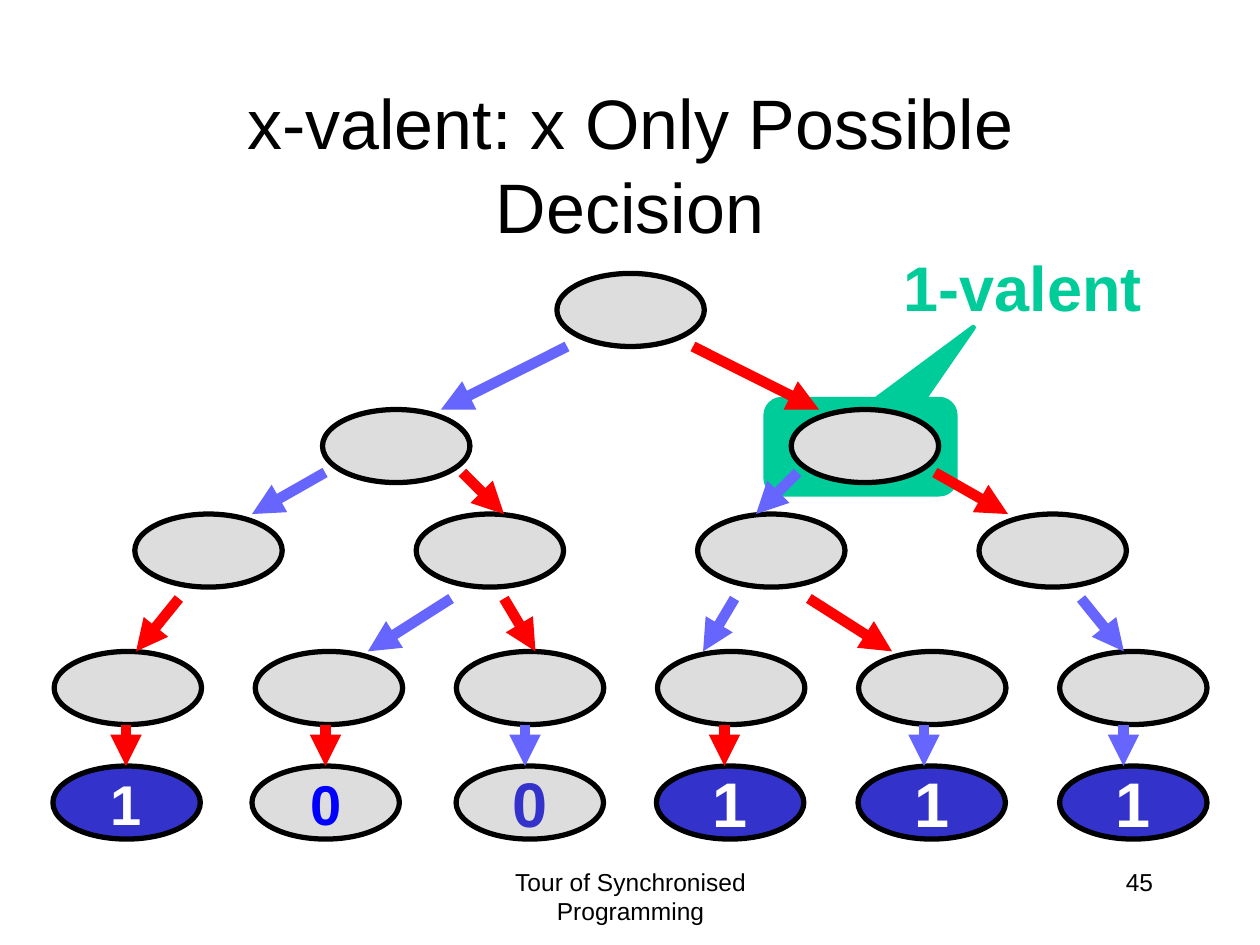
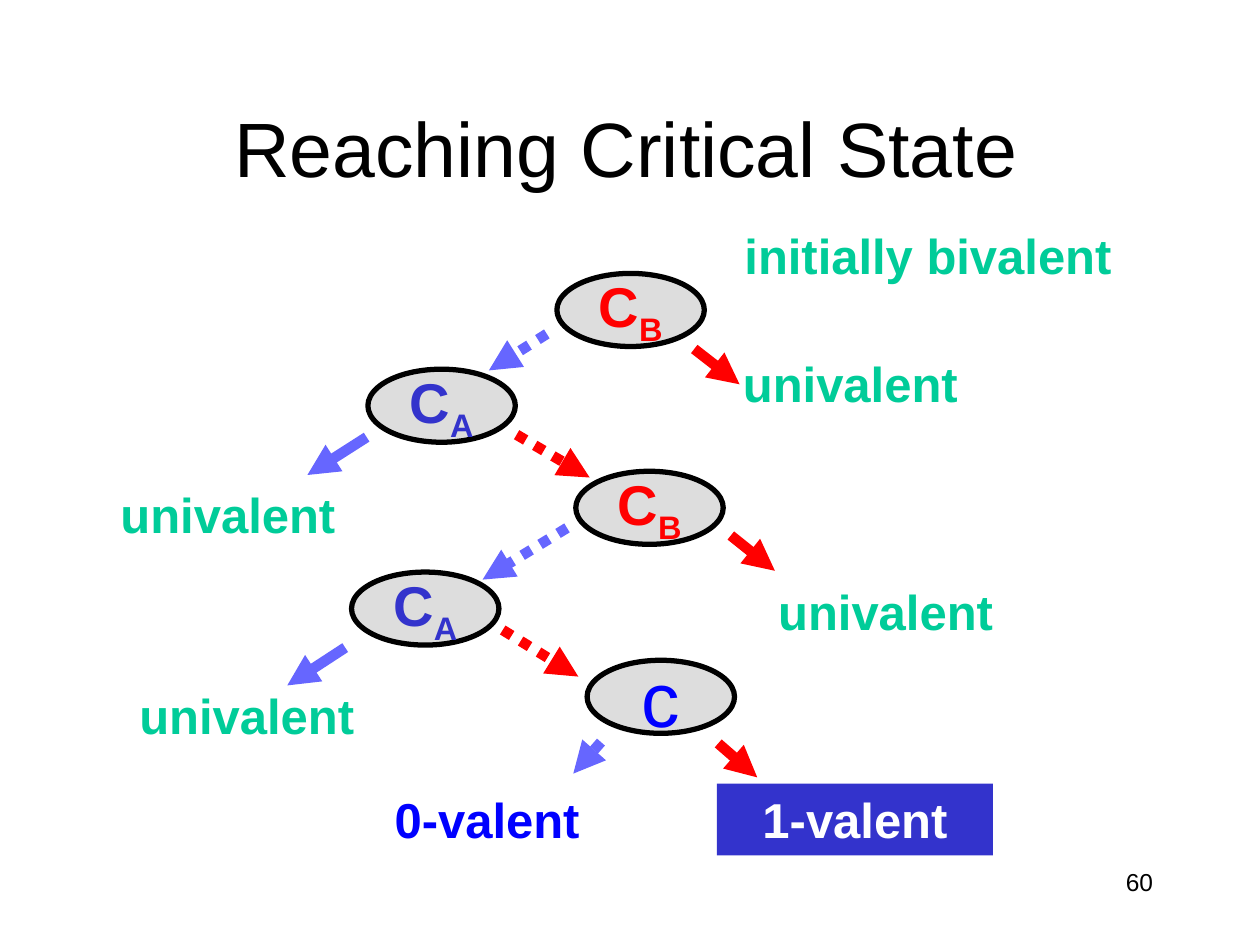
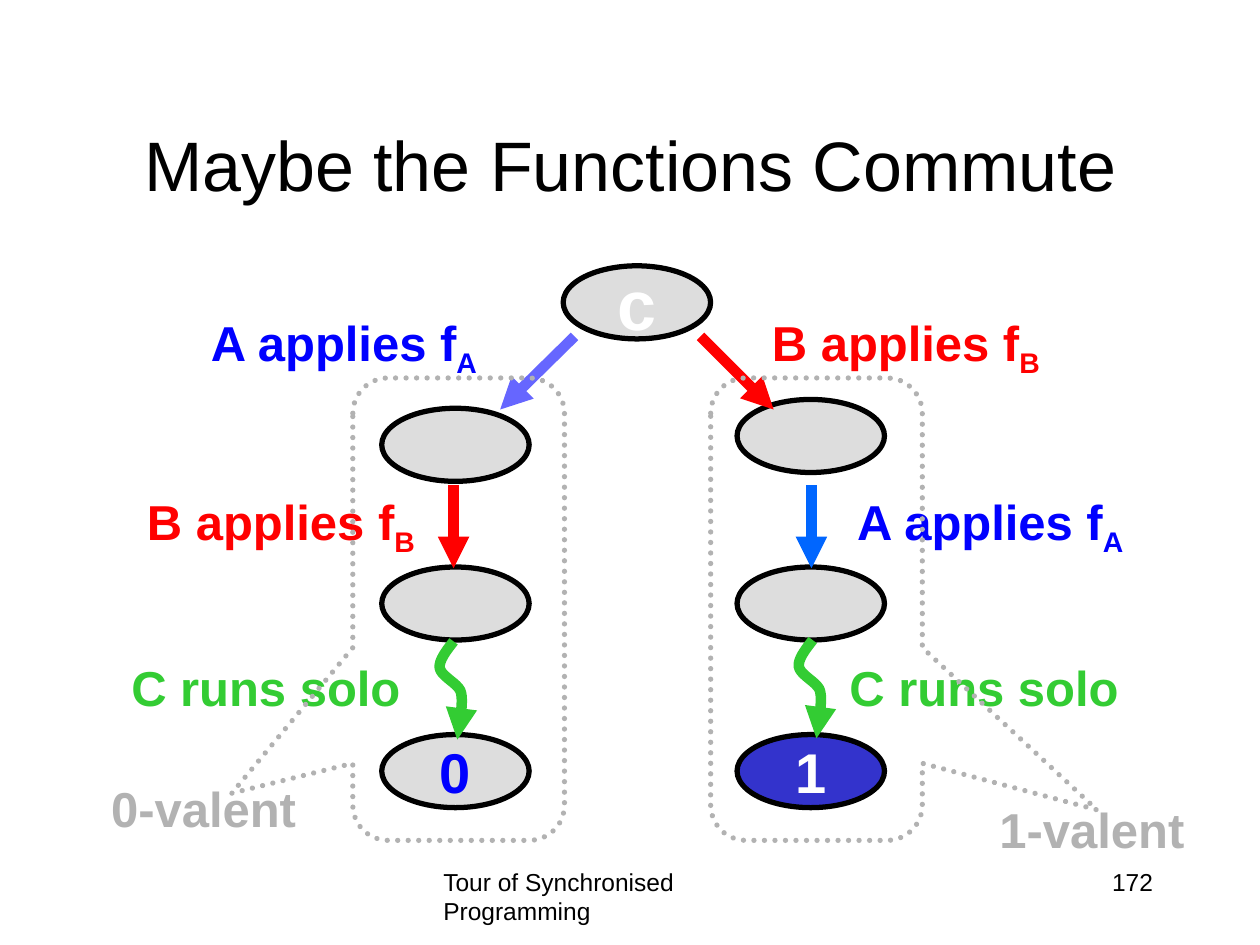
from collections import namedtuple

from lxml.etree import SubElement
from pptx import Presentation
from pptx.dml.color import RGBColor
from pptx.enum.dml import MSO_LINE
from pptx.enum.shapes import MSO_CONNECTOR, MSO_SHAPE as SHAPE
from pptx.enum.text import MSO_ANCHOR as ANCHOR, MSO_AUTO_SIZE, PP_ALIGN as ALIGN
from pptx.oxml.ns import qn
from pptx.util import Pt

PX = 9144  # 100 px to the inch
FONT = "Arial"
FOOTER = "Tour of Synchronised Programming"
BLACK, WHITE, GREY, SILVER = "000000", "FFFFFF", "B2B2B2", "DDDDDD"
RED, BLUE, NAVY, PERIWINKLE, AZURE = "FF0000", "0000FF", "3333CC", "6666FF", "0066FF"
TEAL, GREEN = "00CC99", "33CC33"
NODE_WIDTH, NODE_HEIGHT = 117, 58
LABEL_HEIGHT = 57


class Box(namedtuple("Box", "left top width height")):
    def at(self, x, y, width=0, height=0):
        """A box whose corner is x, y from the corner of this one."""
        return Box(self.left + x, self.top + y, width, height)

    def emu(self):
        return [emu(value) for value in self]


def emu(px):
    return round(px * PX)


def color(hex_string):
    return RGBColor.from_string(hex_string)


def set_format(target, **values):
    for name, value in values.items():
        setattr(target, name, value)


# Shared drawing helpers

def write(shape, text, size, ink, bold=True, align=ALIGN.CENTER,
          anchor=ANCHOR.TOP, wrap=True):
    """Write text; what follows an underscore becomes a subscript."""
    frame = shape.text_frame
    set_format(frame, auto_size=MSO_AUTO_SIZE.NONE, word_wrap=wrap,
               vertical_anchor=anchor)
    paragraph = frame.paragraphs[0]
    paragraph.alignment = align
    base, _, subscript = text.partition("_")
    for part in filter(None, (base, subscript)):
        run = paragraph.add_run()
        run.text = part
        set_format(run.font, name=FONT, size=Pt(size), bold=bold)
        run.font.color.rgb = color(ink)
    if subscript:
        run._r.get_or_add_rPr().set("baseline", "-25000")


def set_line(line, ink, width, dotted=False, arrow=False, cap=None):
    line.color.rgb = color(ink)
    line.width = Pt(width)
    if dotted:
        line.dash_style = MSO_LINE.ROUND_DOT
    outline = line._get_or_add_ln()
    if cap:
        outline.set("cap", cap)
    if arrow:
        SubElement(outline, qn("a:tailEnd"), type="triangle")


def add_shape(slide, kind, box, fill=None, line=None, adjustments=()):
    shape = slide.shapes.add_shape(kind, *box.emu())
    shape.shadow.inherit = False
    for index, value in enumerate(adjustments):
        shape.adjustments[index] = value
    if fill:
        shape.fill.solid()
        shape.fill.fore_color.rgb = color(fill)
    else:
        shape.fill.background()
    if line:
        set_line(shape.line, **line)
    else:
        shape.line.fill.background()
    return shape


def add_node(slide, spot, text="", size=32, ink=BLUE, fill=SILVER, bold=True):
    box = spot._replace(width=NODE_WIDTH, height=NODE_HEIGHT)
    node = add_shape(slide, SHAPE.OVAL, box, fill, dict(ink=BLACK, width=3))
    if text:
        write(node, text, size, ink, bold, anchor=ANCHOR.MIDDLE, wrap=False)


def add_arrow(slide, start, end, ink, dotted=False):
    arrow = slide.shapes.add_connector(
        MSO_CONNECTOR.STRAIGHT, *start.emu()[:2], *end.emu()[:2])
    set_line(arrow.line, ink, 6, dotted, arrow=True)
    SubElement(arrow._element.spPr, qn("a:effectLst"))


def add_label(slide, box, text, ink, size=28, **style):
    label = slide.shapes.add_textbox(*box.emu())
    write(label, text, size, ink, **style)


def add_squiggle(slide, spot):
    """A wavy arrow made of three Bezier curves."""
    knots = [(0, 0), (-2, 3), (-12, 14), (-11, 21), (-10, 28), (5, 34),
             (6, 41), (8, 49), (4, 70), (3, 78)]
    steps = 10
    points = []
    for first in range(0, len(knots) - 1, 3):
        for step in range(1, steps + 1):
            t = step / steps
            weights = ((1 - t) ** 3, 3 * t * (1 - t) ** 2, 3 * t * t * (1 - t), t ** 3)
            curve = knots[first:first + 4]
            x, y = (sum(w * knot[axis] for w, knot in zip(weights, curve))
                    for axis in (0, 1))
            points.append(spot.at(x, y).emu()[:2])
    builder = slide.shapes.build_freeform(*spot.emu()[:2])
    builder.add_line_segments(points, close=False)
    squiggle = builder.convert_to_shape()
    squiggle.shadow.inherit = False
    squiggle.fill.background()
    set_line(squiggle.line, GREEN, 6, arrow=True)


def new_slide(presentation, title, number, size=40, box=Box(75, 67, 850, 125),
              footer_align=None):
    slide = presentation.slides.add_slide(presentation.slide_layouts[5])
    names = ("left", "top", "width", "height")
    set_format(slide.shapes.title, **dict(zip(names, box.emu())))
    write(slide.shapes.title, title, size, BLACK, bold=False, anchor=ANCHOR.MIDDLE)
    add_label(slide, Box(717, 683, 208, 50), number, BLACK, 14,
              bold=False, align=ALIGN.RIGHT)
    if footer_align:
        add_label(slide, Box(342, 683, 317, 50), FOOTER, BLACK, 14,
                  bold=False, align=footer_align)
    return slide


# Slide 1: decision tree

def draw_tree(slide, box):
    add_shape(slide, SHAPE.ROUNDED_RECTANGULAR_CALLOUT, box.at(566, 100, 150, 75),
              TEAL, dict(ink=TEAL, width=3), (0.597, -1.262, 0.167))
    # Inner nodes: top, first left, gap, count
    for top, left, gap, count in [(0, 400, 0, 1), (108, 214, 372, 2),
                                  (191, 65, 223.33, 4), (300, 1, 159.6, 6)]:
        for index in range(count):
            add_node(slide, box.at(left + gap * index, top))
    # Decisions
    won = dict(text="1", ink=WHITE, fill=NAVY)
    leaves = [(0, won), (158, dict(text="0")), (320, dict(text="0", size=36, ink=NAVY))]
    leaves += [(left, dict(won, size=36)) for left in (479, 639, 799)]
    for left, style in leaves:
        add_node(slide, box.at(left, 391), **style)
    # Arrows on the left, by distance from the axis; the right swaps colours
    axis = box.width / 2
    for top, bottom, start, end, ink in [
            (58, 108, 50, 150, PERIWINKLE),
            (158, 191, 242, 300, PERIWINKLE), (158, 191, 133, 100, RED),
            (258, 300, 358, 392, RED), (258, 300, 142, 208, PERIWINKLE)]:
        swapped = PERIWINKLE if ink == RED else RED
        for side, side_ink in ((-1, ink), (1, swapped)):
            add_arrow(slide, box.at(axis + side * start, top),
                      box.at(axis + side * end, bottom), side_ink)
    # The inner pair of arrows, then one arrow down to each decision
    for start, end, ink in ((358, 383, RED), (541, 516, PERIWINKLE)):
        add_arrow(slide, box.at(start, 258), box.at(end, 300), ink)
    inks = (RED, RED, PERIWINKLE, RED, PERIWINKLE, PERIWINKLE)
    for index, ink in enumerate(inks):
        x = 58 + 158.33 * index
        add_arrow(slide, box.at(x, 358), box.at(x, 391), ink)
    add_label(slide, box.at(663, -25, 211, 71), "1-valent", TEAL, 36,
              align=ALIGN.RIGHT, wrap=False)


# Slide 2: path to the critical state

def draw_path(slide, box):
    for left, top, text, ink in [(359, 43, "C_B", RED), (209, 119, "C_A", NAVY),
                                 (374, 200, "C_B", RED), (196, 280, "C_A", NAVY)]:
        add_node(slide, box.at(left, top), text, ink=ink)
    add_node(slide, box.at(383, 350), "c", 44, bold=False)
    # Arrows to the right are B's moves, those to the left are A's
    taken = [(351, 91, 305, 120), (327, 171, 385, 205), (367, 245, 300, 286),
             (316, 326, 376, 363), (394, 415, 372, 440)]
    other = [(468, 103, 504, 131), (208, 173, 161, 203), (497, 251, 532, 279),
             (191, 340, 145, 370), (487, 416, 518, 443)]
    for arrows, dotted in ((taken, True), (other, False)):
        for x1, y1, x2, y2 in arrows:
            add_arrow(slide, box.at(x1, y1), box.at(x2, y2),
                      RED if x2 > x1 else PERIWINKLE, dotted)
    # Valence labels
    labels = [(491, 0, 318, "initially bivalent")]
    labels += [(left, top, 193, "univalent") for left, top in
               [(494, 102), (0, 206), (522, 283), (15, 365)]]
    for left, top, width, text in labels:
        add_label(slide, box.at(left, top, width, LABEL_HEIGHT), text, TEAL,
                  align=ALIGN.RIGHT, wrap=False)
    add_label(slide, box.at(186, 448, 235, LABEL_HEIGHT), "0-valent", BLUE)
    result = add_shape(slide, SHAPE.RECTANGLE, box.at(486, 448, 219, LABEL_HEIGHT), NAVY)
    write(result, "1-valent", 28, WHITE)


# Slide 3: one order of the calls, with the arrow that leads into it

def draw_branch(slide, box, node_left, first_top, leaf, incoming, arrow_ink, labels,
                valence, tip, shift=0):
    for top, style in ((first_top, {}), (150, {}), (283, leaf)):
        add_node(slide, box.at(node_left, top), **style)
    start, end, ink = incoming
    add_arrow(slide, box.at(start, -33), box.at(end, 25), ink)
    add_arrow(slide, box.at(80, 85), box.at(80, 151), arrow_ink)
    add_squiggle(slide, box.at(80 + shift, 209 - shift))
    for (left, text, ink), top in zip(labels, (-57, 85, 217)):
        add_label(slide, box.at(left, top, 296, LABEL_HEIGHT), text, ink)
    left, top, text = valence
    add_label(slide, box.at(left, top, 235, LABEL_HEIGHT), text, GREY)
    add_shape(slide, SHAPE.ROUNDED_RECTANGULAR_CALLOUT, box,
              line=dict(ink=GREY, width=3, dotted=True, cap="rnd"),
              adjustments=(*tip, 0.167))


def main():
    presentation = Presentation()
    set_format(presentation, slide_width=emu(1000), slide_height=emu(750))

    slide = new_slide(presentation, "x-valent: x Only Possible Decision", "45",
                      footer_align=ALIGN.CENTER)
    draw_tree(slide, Box(42, 217, 916, 449))

    slide = new_slide(presentation, "Reaching Critical State", "60", 44,
                      Box(72, 54, 850, 125))
    draw_path(slide, Box(83, 174, 809, 505))

    slide = new_slide(presentation, "Maybe the Functions Commute", "172",
                      footer_align=ALIGN.LEFT)
    add_node(slide, Box(447, 211, NODE_WIDTH, NODE_HEIGHT), "c", 40, WHITE)
    a_call, b_call = ("A applies f_A", BLUE), ("B applies f_B", RED)
    solo = ("C runs solo", GREEN)
    draw_branch(slide, Box(280, 300, 168, 367), 23, 24, dict(text="0"),
                (176, 117, PERIWINKLE), RED,
                [(-155, *a_call), (-205, *b_call), (-217, *solo)],
                (-236, 313, "0-valent"), (-1.072, 0.398))
    draw_branch(slide, Box(564, 300, 168, 367), 21, 17,
                dict(text="1", ink=WHITE, fill=NAVY), (-8, 50, RED), AZURE,
                [(7, *b_call), (74, *a_call), (69, *solo)],
                (185, 330, "1-valent"), (1.325, 0.434), shift=1)

    presentation.save("out.pptx")


if __name__ == "__main__":
    main()
